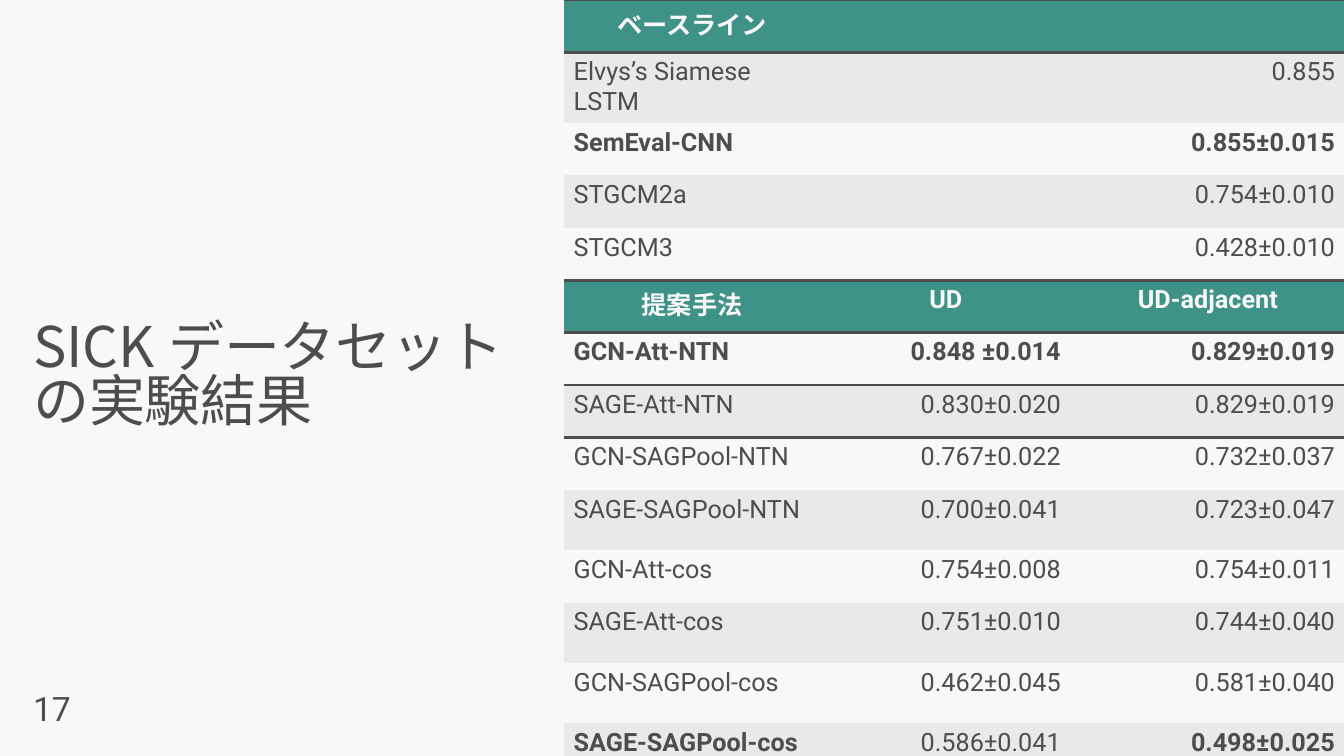
from dataclasses import dataclass

from lxml import etree
from pptx import Presentation
from pptx.dml.color import RGBColor
from pptx.enum import text as t
from pptx.oxml import ns
from pptx.util import Inches, Pt

INK = RGBColor(0x4D, 0x4D, 0x4D)
PAPER = RGBColor(0xF8, 0xF8, 0xF8)
BAND = RGBColor(0xE9, 0xE9, 0xE9)
TEAL = RGBColor(0x3E, 0x92, 0x88)

LATIN_FONT = "Roboto"
JAPANESE_FONT = "Noto Sans CJK JP"
PLAIN_TABLE_STYLE = "{2D5ABB26-0587-4C30-8999-92F81FD0307C}"
COLUMN_WIDTHS = (2.55, 2.48, 2.72)


@dataclass(frozen=True)
class ResultRow:
    labels: tuple[str, ...]
    fill: RGBColor
    bold: tuple[int, ...] = ()
    header: bool = False
    height: float = 0.52
    top: float = 0
    bottom: float = 0


RESULTS = (
    ResultRow(("ベースライン", ""), TEAL, (0,), header=True, top=2, bottom=2),
    ResultRow(("Elvys’s Siamese LSTM", "0.855"), BAND),
    ResultRow(("SemEval-CNN", "0.855±0.015"), PAPER, (0, 1)),
    ResultRow(("STGCM2a", "0.754±0.010"), BAND),
    ResultRow(("STGCM3", "0.428±0.010"), PAPER, bottom=2.25),
    ResultRow(("提案手法", "UD", "UD-adjacent"), TEAL, (0, 1, 2), header=True, top=2.25, bottom=2.25),
    ResultRow(("GCN-Att-NTN", "0.848 ±0.014", "0.829±0.019"), PAPER, (0, 1, 2), top=2.25, bottom=2.25),
    ResultRow(("SAGE-Att-NTN", "0.830±0.020", "0.829±0.019"), BAND, top=2.25),
    ResultRow(("GCN-SAGPool-NTN", "0.767±0.022", "0.732±0.037"), PAPER),
    ResultRow(("SAGE-SAGPool-NTN", "0.700±0.041", "0.723±0.047"), BAND, height=0.6),
    ResultRow(("GCN-Att-cos", "0.754±0.008", "0.754±0.011"), PAPER),
    ResultRow(("SAGE-Att-cos", "0.751±0.010", "0.744±0.040"), BAND, height=0.6),
    ResultRow(("GCN-SAGPool-cos", "0.462±0.045", "0.581±0.040"), PAPER, height=0.6),
    ResultRow(("SAGE-SAGPool-cos", "0.586±0.041", "0.498±0.025"), BAND, (0, 2), bottom=2),
)


def write_text(frame, wording: str, *, size: float = 18, font: str = LATIN_FONT,
               color: RGBColor = INK, bold: bool = False,
               align=t.PP_ALIGN.LEFT, spacing: float = 1.0) -> None:
    paragraph = frame.paragraphs[0]
    paragraph.alignment = align
    paragraph.line_spacing = spacing
    run = paragraph.add_run()
    run.text = wording
    run.font.size = Pt(size)
    run.font.name = font
    run.font.bold = bold
    run.font.color.rgb = color
    east_asian = etree.SubElement(run.font._element, ns.qn("a:ea"))
    east_asian.set("typeface", JAPANESE_FONT)


def draw_rules(cell, top: float, bottom: float) -> None:
    properties = cell._tc.get_or_add_tcPr()
    for tag, width in (("a:lnB", bottom), ("a:lnT", top)):
        if width:
            rule = etree.Element(ns.qn(tag), w=str(Pt(width)))
            fill = etree.SubElement(rule, ns.qn("a:solidFill"))
            etree.SubElement(fill, ns.qn("a:srgbClr"), val=str(INK))
            properties.insert(0, rule)


def fill_row(table, index: int, result: ResultRow) -> None:
    table.rows[index].height = Inches(result.height)
    for column in range(len(COLUMN_WIDTHS)):
        cell = table.cell(index, column)
        cell.fill.solid()
        cell.fill.fore_color.rgb = result.fill
        draw_rules(cell, result.top, result.bottom)
    if len(result.labels) == 2:
        table.cell(index, 1).merge(table.cell(index, 2))
    for column, label in enumerate(result.labels):
        if result.header:
            align = t.PP_ALIGN.CENTER
        else:
            align = t.PP_ALIGN.RIGHT if column else t.PP_ALIGN.LEFT
        if label:
            write_text(table.cell(index, column).text_frame, label, align=align,
                       bold=column in result.bold, color=PAPER if result.header else INK)


def add_results(slide) -> None:
    frame = slide.shapes.add_table(len(RESULTS), len(COLUMN_WIDTHS),
                                   Inches(5.59), 0, Inches(7.75), Inches(7.5))
    results = frame.table
    results.first_row = results.horz_banding = False
    results._tbl.tblPr.find(ns.qn("a:tableStyleId")).text = PLAIN_TABLE_STYLE
    for column, width in zip(results.columns, COLUMN_WIDTHS):
        column.width = Inches(width)
    for index, result in enumerate(RESULTS):
        fill_row(results, index, result)


def main() -> None:
    deck = Presentation()
    deck.slide_width, deck.slide_height = Inches(13.33), Inches(7.5)
    slide = deck.slides.add_slide(deck.slide_layouts[6])
    slide.background.fill.solid()
    slide.background.fill.fore_color.rgb = PAPER

    page_number = slide.shapes.add_textbox(Inches(0.23), Inches(6.78), Inches(0.61), Inches(0.5))
    write_text(page_number.text_frame, "17", size=24)

    title = slide.shapes.add_textbox(Inches(0.23), Inches(3.01), Inches(5.33), Inches(1.48))
    title.text_frame.word_wrap = True
    title.text_frame.vertical_anchor = t.MSO_ANCHOR.MIDDLE
    write_text(title.text_frame, "SICKデータセットの実験結果", size=40, font=JAPANESE_FONT, spacing=0.8)

    add_results(slide)
    deck.save("out.pptx")


if __name__ == "__main__":
    main()
